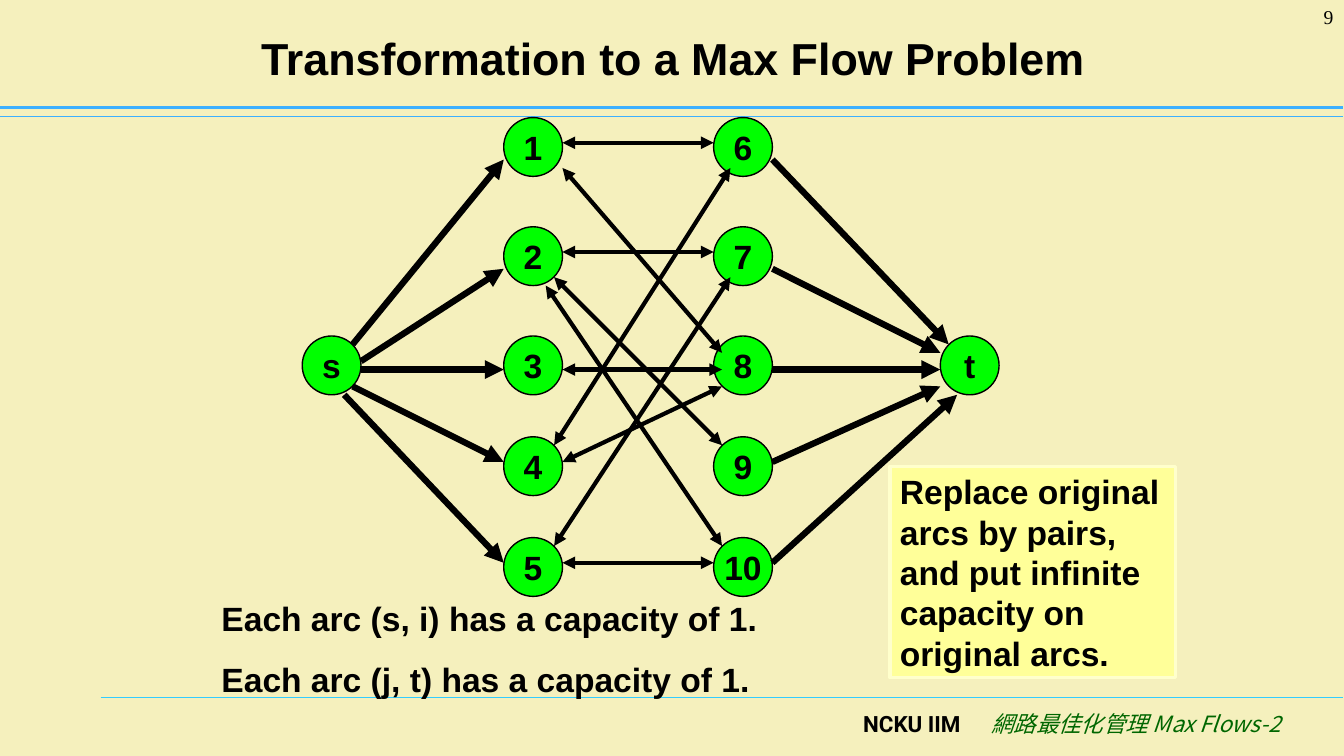
"""Build the bipartite-matching slide: transformation to a max flow problem."""
from dataclasses import dataclass

import pptx
import pptx.dml.color
import pptx.enum.shapes
import pptx.enum.text
import pptx.oxml
import pptx.oxml.ns
import pptx.util

ALIGN = pptx.enum.text.PP_ALIGN
ANCHOR = pptx.enum.text.MSO_ANCHOR
SHAPE = pptx.enum.shapes.MSO_SHAPE
qn = pptx.oxml.ns.qn


@dataclass(frozen=True)
class Theme:
    paper: str = "F5F0BD"
    ink: str = "000000"
    node: str = "00FF00"
    note: str = "FFFF99"
    note_edge: str = "FFFFCC"
    rule: str = "3DB0FF"
    foot_rule: str = "33CCFF"
    course: str = "006600"
    sans: str = "Arial"
    title_pt: float = 32
    body_pt: float = 24
    foot_pt: float = 16
    number_pt: float = 14


@dataclass(frozen=True)
class Box:
    col: float
    row: float
    cols: float
    rows: float


@dataclass(frozen=True)
class Style:
    size: float
    font: str = "Arial"
    color: str = "000000"
    bold: bool = True
    italic: bool = False
    align: ALIGN = ALIGN.LEFT


@dataclass(frozen=True)
class Label:
    box: Box
    text: str
    style: Style


@dataclass(frozen=True)
class Line:
    c1: float
    r1: float
    c2: float
    r2: float


THEME = Theme()
NODE_SIZE = 7
NODE_ROWS = (14, 27, 40, 52, 64)
ARC_ROWS = (19, 32, 44, 55, 67)
LEFT_COL, RIGHT_COL = 60, 85
BODY = Style(THEME.body_pt)

NODES = [(str(i + 1), LEFT_COL, row) for i, row in enumerate(NODE_ROWS)]
NODES += [(str(i + 6), RIGHT_COL, row) for i, row in enumerate(NODE_ROWS)]
NODES += [("s", 36, 40), ("t", 112, 40)]

SOURCE_EXITS = ((42, 41), (43, 43), (43, 44), (42, 46), (41, 47))
SINK_ENTRIES = ((113, 41), (112, 42), (112, 44), (112, 46), (114, 47))
SOURCE_ARCS = [Line(c, r, LEFT_COL, row) for (c, r), row in zip(SOURCE_EXITS, ARC_ROWS)]
SINK_ARCS = [Line(RIGHT_COL + NODE_SIZE, row, c, r) for (c, r), row in zip(SINK_ENTRIES, ARC_ROWS)]
PAIR_ARCS = [
    Line(67, 30, 85, 30), Line(66, 33, 86, 53), Line(67, 67, 85, 67),
    Line(66, 65, 87, 33), Line(67, 17, 85, 17), Line(67, 20, 86, 42),
    Line(67, 44, 86, 44), Line(66, 53, 87, 20), Line(67, 55, 86, 46),
    Line(65, 34, 86, 65),
]
RULES = [
    (Line(12, 83, 160, 83), THEME.foot_rule, 0.75),
    (Line(0, 13.9, 160, 13.9), THEME.rule, 0.75),
    (Line(0, 12.8, 160, 12.8), THEME.rule, 2.5),
]
LABELS = [
    Label(Box(95, 84, 20.6, 6), "NCKU IIM",
          Style(THEME.foot_pt, "Roboto", align=ALIGN.RIGHT)),
    Label(Box(113.7, 84, 40, 6), "網路最佳化管理 Max Flows-2",
          Style(THEME.foot_pt, "Noto Sans CJK SC", THEME.course, False, True, ALIGN.RIGHT)),
    Label(Box(146.7, 0, 13.3, 6), "9",
          Style(THEME.number_pt, "Times New Roman", bold=False, align=ALIGN.RIGHT)),
    Label(Box(25.2, 70.6, 67, 13.3),
          "Each arc (s, i) has a capacity of 1.\nEach arc (j, t) has a capacity of 1.", BODY),
]
TITLE = Label(Box(8.2, 1.6, 144, 10.4), "Transformation to a Max Flow Problem",
              Style(THEME.title_pt, align=ALIGN.CENTER))
NOTE = Label(Box(106, 55.5, 34, 25.2),
             "Replace original arcs by pairs, and put infinite capacity on original arcs.", BODY)


def grid(units: float) -> int:
    """Convert grid units, twelve to the inch, to a length."""
    return pptx.util.Inches(units / 12)


def frame(box: Box) -> tuple:
    """Return left, top, width and height of a grid box."""
    return grid(box.col), grid(box.row), grid(box.cols), grid(box.rows)


def rgb(value: str) -> pptx.dml.color.RGBColor:
    """Return the colour for a hex value."""
    return pptx.dml.color.RGBColor.from_string(value)


def write(sp, text: str, style: Style, anchor=ANCHOR.TOP, wrap: bool = True) -> None:
    """Put styled text in a shape."""
    tf = sp.text_frame
    tf.text = text
    tf.word_wrap = wrap
    tf.vertical_anchor = anchor
    for i, p in enumerate(tf.paragraphs):
        p.alignment = style.align
        p.space_before = pptx.util.Pt(15 if i else 0)
        for r in p.runs:
            r.font.name = style.font
            r.font.size = pptx.util.Pt(style.size)
            r.font.bold = style.bold
            r.font.italic = style.italic
            r.font.color.rgb = rgb(style.color)
            ea = pptx.oxml.parse_xml(
                '<a:ea xmlns:a="http://schemas.openxmlformats.org/drawingml/2006/main"/>')
            ea.set("typeface", style.font)
            r.font._element.find(qn("a:latin")).addnext(ea)


def add_filled(slide, kind: SHAPE, box: Box, fill: str, edge: str, width: float):
    """Add a filled and outlined preset shape."""
    sp = slide.shapes.add_shape(kind, *frame(box))
    sp.shadow.inherit = False
    sp.fill.solid()
    sp.fill.fore_color.rgb = rgb(fill)
    sp.line.color.rgb = rgb(edge)
    sp.line.width = pptx.util.Pt(width)
    return sp


def add_line(slide, line: Line, color: str, width: float, ends: tuple = ()) -> None:
    """Add a straight line with triangles at the named ends."""
    sp = slide.shapes.add_connector(
        pptx.enum.shapes.MSO_CONNECTOR.STRAIGHT,
        grid(line.c1), grid(line.r1), grid(line.c2), grid(line.r2))
    sp.line.color.rgb = rgb(color)
    sp.line.width = pptx.util.Pt(width)
    for end in ends:
        sp.line._get_or_add_ln().append(pptx.oxml.ns.OxmlElement(end)
                                        if hasattr(pptx.oxml.ns, "OxmlElement")
                                        else arrow(end))
    sp._element.spPr.append(arrow("a:effectLst", None))


def arrow(tag: str, kind: str = "triangle"):
    """Return a drawing element, with an arrow type if given."""
    el = pptx.oxml.parse_xml(
        f'<{tag} xmlns:a="http://schemas.openxmlformats.org/drawingml/2006/main"/>')
    if kind:
        el.set("type", kind)
    return el


def main() -> None:
    """Draw the slide and save it."""
    prs = pptx.Presentation()
    prs.slide_width, prs.slide_height = pptx.util.Inches(13.34), pptx.util.Inches(7.5)
    slide = prs.slides.add_slide(prs.slide_layouts[5])
    slide.background.fill.solid()
    slide.background.fill.fore_color.rgb = rgb(THEME.paper)
    for line, color, width in RULES:
        add_line(slide, line, color, width)
    title = slide.shapes.title
    title.left, title.top, title.width, title.height = frame(TITLE.box)
    write(title, TITLE.text, TITLE.style, ANCHOR.MIDDLE)
    for name, col, row in NODES:
        sp = add_filled(slide, SHAPE.OVAL, Box(col, row, NODE_SIZE, NODE_SIZE),
                        THEME.node, THEME.ink, 1)
        write(sp, name, Style(THEME.body_pt, align=ALIGN.CENTER), ANCHOR.MIDDLE, False)
    for line in SOURCE_ARCS + SINK_ARCS:
        add_line(slide, line, THEME.ink, 4.5, ("a:tailEnd",))
    for line in PAIR_ARCS:
        add_line(slide, line, THEME.ink, 3, ("a:headEnd", "a:tailEnd"))
    for label in LABELS:
        write(slide.shapes.add_textbox(*frame(label.box)), label.text, label.style)
    note = add_filled(slide, SHAPE.RECTANGLE, NOTE.box, THEME.note, THEME.note_edge, 2.25)
    write(note, NOTE.text, NOTE.style)
    prs.save("out.pptx")


if __name__ == "__main__":
    main()
